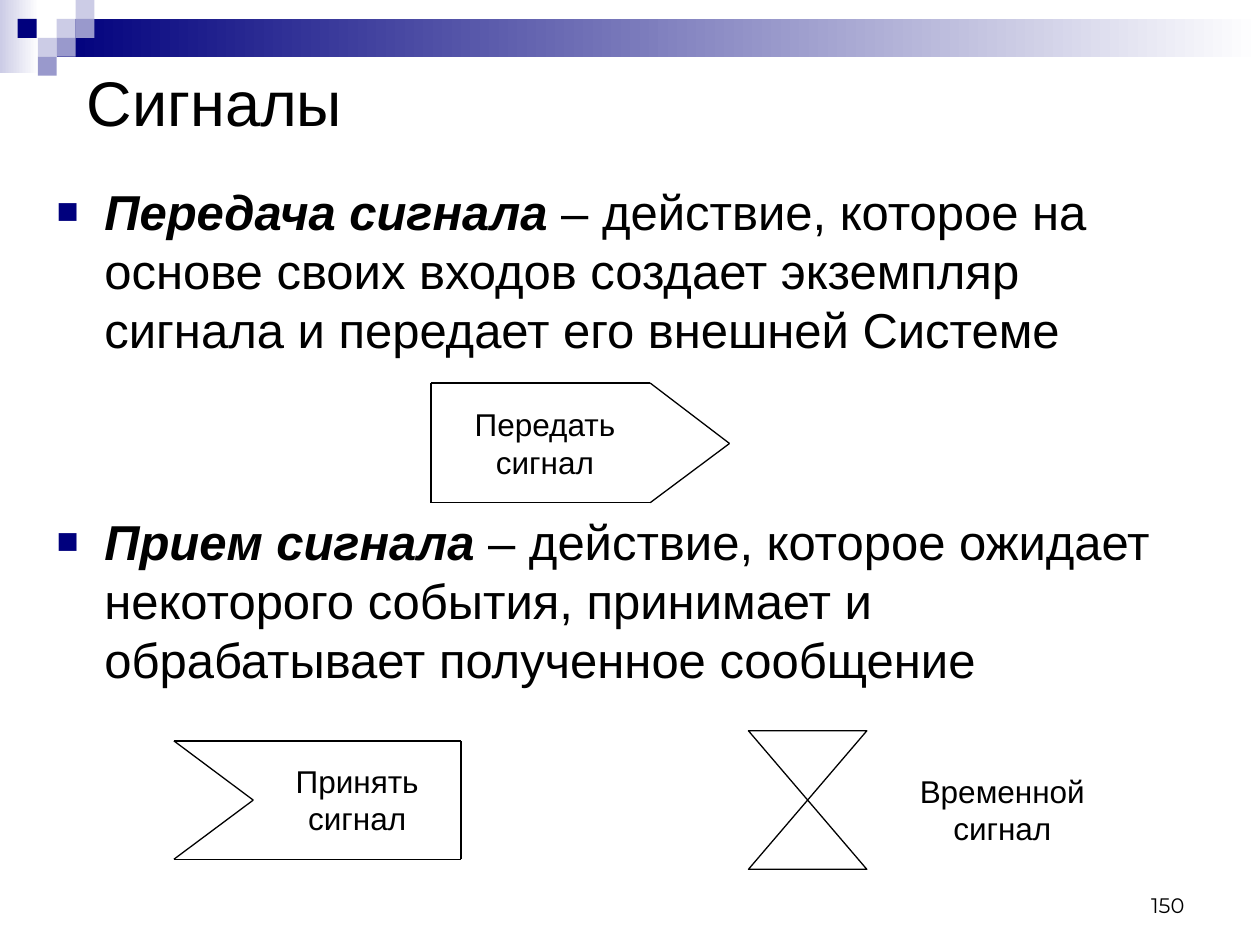
from dataclasses import dataclass

from lxml.etree import SubElement
from pptx import Presentation
from pptx.dml.color import RGBColor
from pptx.enum.shapes import MSO_CONNECTOR, MSO_SHAPE
from pptx.enum.text import MSO_ANCHOR, PP_ALIGN
from pptx.oxml.ns import qn
from pptx.util import Inches, Pt


@dataclass(frozen=True)
class Theme:
    navy: str = "00007D"
    violet: str = "9999CC"
    lavender: str = "CCCCE6"
    white: str = "FFFFFF"
    black: str = "000000"
    font: str = "Arial"
    number_font: str = "Montserrat"
    title: int = 36
    body: int = 28
    label: int = 18
    number: int = 12
    line: float = 0.75


@dataclass(frozen=True)
class Box:
    left: float
    top: float
    width: float
    height: float

    def emu(self) -> list:
        return [Inches(v) for v in (self.left, self.top, self.width, self.height)]


@dataclass(frozen=True)
class Definition:
    term: str
    meaning: str
    space_before: float


@dataclass(frozen=True)
class Signal:
    """Outline made of line segments between consecutive points."""
    points: tuple


T = Theme()
TILE = 0.15
TILES = [
    (0.45, 0.15, T.lavender), (0.6, 0, T.lavender), (0.6, 0.15, T.violet),
    (0.3, 0.3, T.lavender), (0.14, 0.15, T.navy), (0.45, 0.3, T.violet),
    (0.3, 0.45, T.violet),
]
GRADIENTS = [(Box(0, 0, 0.31, 0.58), T.lavender), (Box(0.45, 0.15, 9.55, 0.3), T.navy)]
DEFINITIONS = [
    Definition("Передача сигнала", " – действие, которое на основе своих входов "
               "создает экземпляр сигнала и передает его внешней Системе", 0),
    Definition("Прием сигнала", " – действие, которое ожидает некоторого события, "
               "принимает и обрабатывает полученное сообщение", 88),
]
SIGNALS = [
    Signal(((3.42, 3.04), (5.16, 3.04), (5.79, 3.52), (5.16, 3.99), (3.42, 3.99))),
    Signal(((1.38, 5.88), (3.66, 5.88), (3.66, 6.82), (1.38, 6.82), (2.01, 6.35))),
]
LABELS = [("Передать", 3.5, 3.2), ("Принять", 2.01, 6.03), ("Временной", 7.13, 6.11)]


def rgb(value: str) -> RGBColor:
    return RGBColor.from_string(value)


def add_run(p, text: str, size: int, font: str = T.font, **style) -> None:
    r = p.add_run()
    r.text = text
    for name, value in {"size": Pt(size), "name": font, **style}.items():
        setattr(r.font, name, value)
    r.font.color.rgb = rgb(T.black)


def add_text_box(s, box: Box, anchor=MSO_ANCHOR.TOP, wrap: bool = True):
    tf = s.shapes.add_textbox(*box.emu()).text_frame
    tf.word_wrap = wrap
    tf.vertical_anchor = anchor
    return tf


def add_preset(s, kind, box: Box):
    sp = s.shapes.add_shape(kind, *box.emu())
    sp.shadow.inherit = False
    sp.line.fill.background()
    return sp


def add_banner(s) -> None:
    for box, color in GRADIENTS:
        fill = add_preset(s, MSO_SHAPE.RECTANGLE, box).fill
        fill.gradient()
        fill.gradient_angle = 180
        for stop, position, value in zip(fill.gradient_stops, (0, 1), (T.white, color)):
            stop.position = position
            stop.color.rgb = rgb(value)
    for left, top, color in TILES:
        fill = add_preset(s, MSO_SHAPE.RECTANGLE, Box(left, top, TILE, TILE)).fill
        fill.solid()
        fill.fore_color.rgb = rgb(color)


def add_bullet(p, indent: float) -> None:
    pPr = p._p.get_or_add_pPr()
    pPr.set("marL", str(Inches(indent)))
    pPr.set("indent", str(-Inches(indent)))
    SubElement(SubElement(pPr, qn("a:buClr")), qn("a:srgbClr"), val=T.navy)
    SubElement(pPr, qn("a:buSzPct"), val="75000")
    SubElement(pPr, qn("a:buFont"), typeface=T.font)
    SubElement(pPr, qn("a:buChar"), char="■")


def add_definitions(s, box: Box) -> None:
    tf = add_text_box(s, box)
    for i, item in enumerate(DEFINITIONS):
        p = tf.add_paragraph() if i else tf.paragraphs[0]
        add_bullet(p, 0.38)
        p.space_before = Pt(item.space_before)
        add_run(p, item.term, T.body, bold=True, italic=True)
        add_run(p, item.meaning, T.body)


def add_signal(s, signal: Signal) -> None:
    pts = signal.points
    for start, end in zip(pts, pts[1:] + pts[:1]):
        line = s.shapes.add_connector(
            MSO_CONNECTOR.STRAIGHT, *(Inches(v) for v in start + end))
        line.line.color.rgb = rgb(T.black)
        line.line.width = Pt(T.line)
        SubElement(line._element.spPr, qn("a:effectLst"))


def add_label(s, first_line: str, left: float, top: float) -> None:
    sp = add_preset(s, MSO_SHAPE.FLOWCHART_PROCESS, Box(left, top, 1.65, 0.63))
    sp.fill.background()
    tf = sp.text_frame
    tf.word_wrap = False
    tf.vertical_anchor = MSO_ANCHOR.MIDDLE
    for p, text in ((tf.paragraphs[0], first_line), (tf.add_paragraph(), "сигнал")):
        p.alignment = PP_ALIGN.CENTER
        add_run(p, text, T.label)


def add_hourglass(s, box: Box) -> None:
    sp = add_preset(s, MSO_SHAPE.FLOWCHART_COLLATE, box)
    sp.fill.background()
    sp.line.color.rgb = rgb(T.black)
    sp.line.width = Pt(T.line)


def main() -> None:
    prs = Presentation()
    prs.slide_width, prs.slide_height = Inches(10), Inches(7.5)
    s = prs.slides.add_slide(prs.slide_layouts[6])

    add_banner(s)
    tf = add_text_box(s, Box(0.59, 0.44, 9.14, 0.73), MSO_ANCHOR.MIDDLE)
    add_run(tf.paragraphs[0], "Сигналы", T.title)
    add_definitions(s, Box(0.35, 1.39, 9.29, 5.58))

    for signal in SIGNALS:
        add_signal(s, signal)
    add_hourglass(s, Box(5.94, 5.8, 0.94, 1.1))
    for label in LABELS:
        add_label(s, *label)

    tf = add_text_box(s, Box(7.17, 6.83, 2.33, 0.5), MSO_ANCHOR.BOTTOM)
    tf.paragraphs[0].alignment = PP_ALIGN.RIGHT
    add_run(tf.paragraphs[0], "150", T.number, T.number_font)

    prs.save("out.pptx")


if __name__ == "__main__":
    main()
